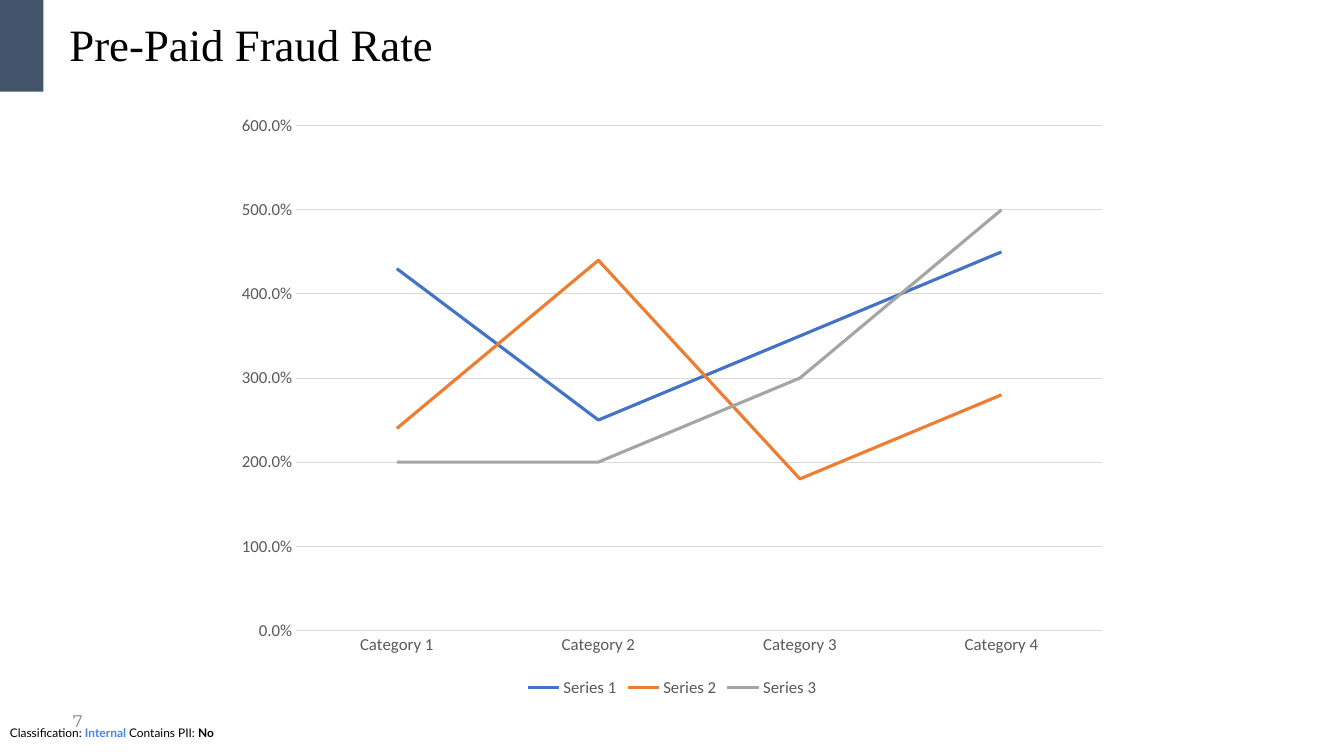
"""Build the Pre-Paid Fraud Rate slide with its line chart."""
from pptx import Presentation
from pptx import util as u
from pptx.chart.data import CategoryChartData
from pptx.dml.color import RGBColor
from pptx.enum import chart as charts, shapes, text

TITLE = [("Pre-Paid Fraud Rate", "000000", False)]
PAGE_NUMBER = [("7", "888888", False)]
CLASSIFICATION = [
    ("Classification: ", "000000", False),
    ("Internal", "4285F4", True),
    (" Contains PII: ", "000000", False),
    ("No", "000000", True),
]
CATEGORIES = ["Category 1", "Category 2", "Category 3", "Category 4"]
SERIES = [
    ("Series 1", "4472C4", (4.3, 2.5, 3.5, 4.5)),
    ("Series 2", "ED7D31", (2.4, 4.4, 1.8, 2.8)),
    ("Series 3", "A5A5A5", (2, 2, 3, 5)),
]
LABEL, GRID, ACCENT = "595959", "D9D9D9", "44546A"


def color(value):
    return RGBColor.from_string(value)


def inches(*lengths):
    return [u.Inches(length) for length in lengths]


def add_text(page, place, spans, *, size, font, align=text.PP_ALIGN.LEFT,
             anchor=text.MSO_ANCHOR.MIDDLE, spacing=1.0):
    box = page.shapes.add_textbox(*inches(*place))
    frame = box.text_frame
    frame.word_wrap = True
    frame.vertical_anchor = anchor
    para = frame.paragraphs[0]
    para.alignment = align
    para.line_spacing = spacing
    for words, tint, bold in spans:
        span = para.add_run()
        span.text = words
        span.font.size = u.Pt(size)
        span.font.name = font
        span.font.bold = bold
        span.font.color.rgb = color(tint)


def style_font(font):
    font.name = "Calibri"
    font.size = u.Pt(12)
    font.color.rgb = color(LABEL)


def style_line(line, tint, width):
    line.color.rgb = color(tint)
    line.width = u.Pt(width)


def add_rate_chart(page, place):
    data = CategoryChartData(number_format="0.0%")
    data.categories = CATEGORIES
    for name, _, values in SERIES:
        data.add_series(name, values)
    chart = page.shapes.add_chart(
        charts.XL_CHART_TYPE.LINE, *inches(*place), data).chart
    style_font(chart.font)
    chart.has_title = False
    chart.has_legend = True
    chart.legend.position = charts.XL_LEGEND_POSITION.BOTTOM
    chart.legend.include_in_layout = False
    style_font(chart.legend.font)
    chart.plots[0].vary_by_categories = False

    for axis in (chart.category_axis, chart.value_axis):
        axis.major_tick_mark = charts.XL_TICK_MARK.NONE
        axis.minor_tick_mark = charts.XL_TICK_MARK.NONE
        style_font(axis.tick_labels.font)
    style_line(chart.category_axis.format.line, GRID, 0.75)
    rates = chart.value_axis
    rates.minimum_scale, rates.maximum_scale, rates.major_unit = 0, 6, 1
    rates.format.line.fill.background()
    rates.has_major_gridlines = True
    style_line(rates.major_gridlines.format.line, GRID, 0.75)
    rates.tick_labels.number_format = "0.0%"
    rates.tick_labels.number_format_is_linked = False

    for series, (_, tint, _) in zip(chart.plots[0].series, SERIES):
        series.smooth = False
        series.marker.style = charts.XL_MARKER_STYLE.NONE
        style_line(series.format.line, tint, 2.25)


def main():
    deck = Presentation()
    deck.slide_width, deck.slide_height = inches(13.33, 7.5)
    page = deck.slides.add_slide(deck.slide_layouts[6])
    add_text(page, (0, 7.15, 13.33, 0.24), CLASSIFICATION, size=8.5,
             font="Lato", anchor=text.MSO_ANCHOR.TOP)
    accent = page.shapes.add_shape(
        shapes.MSO_SHAPE.RECTANGLE, *inches(0, 0, 0.43, 0.91))
    accent.shadow.inherit = False
    accent.fill.solid()
    accent.fill.fore_color.rgb = color(ACCENT)
    accent.line.fill.background()
    add_text(page, (0.59, 0.11, 11.57, 0.72), TITLE, size=32,
             font="Times New Roman", spacing=0.9)
    add_text(page, (0.49, 6.95, 0.43, 0.4), PAGE_NUMBER, size=12,
             font="Montserrat", align=text.PP_ALIGN.RIGHT)
    add_rate_chart(page, (2.22, 1.03, 8.89, 5.93))
    deck.save("out.pptx")


if __name__ == "__main__":
    main()
